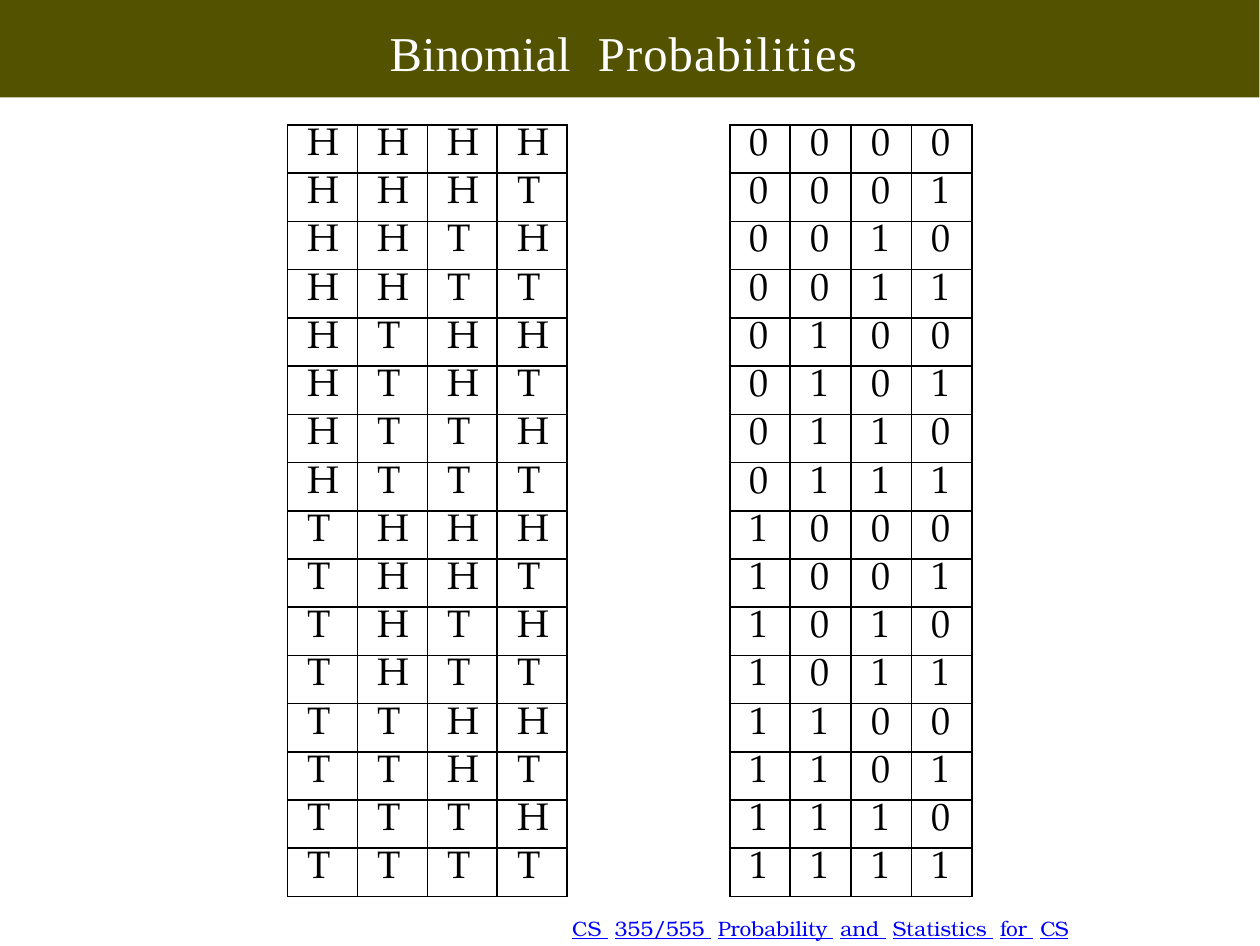
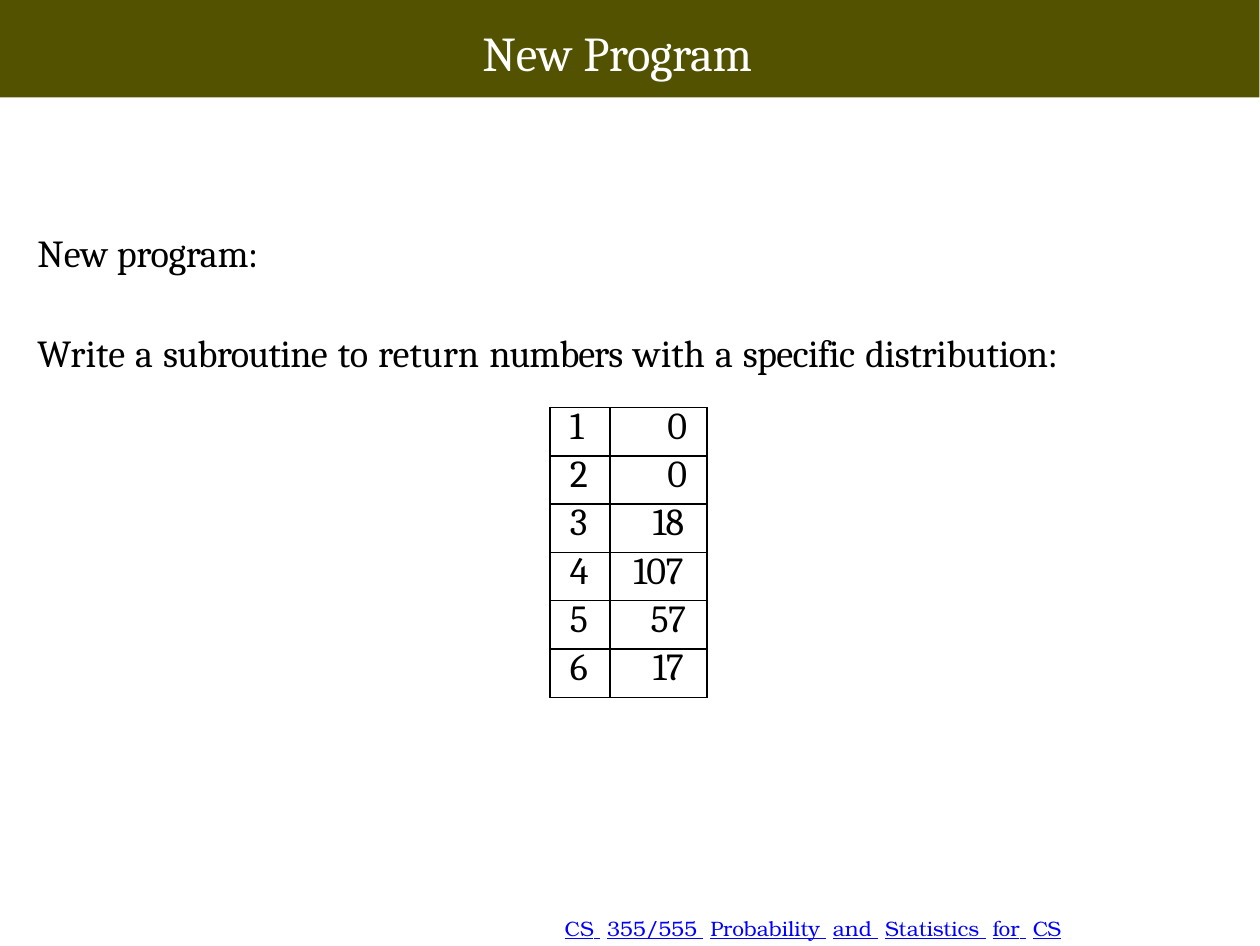
from itertools import product

from lxml import etree
from pptx import Presentation
from pptx.dml.color import RGBColor
from pptx.enum.shapes import MSO_SHAPE
from pptx.enum.text import MSO_AUTO_SIZE, PP_ALIGN
from pptx.oxml.ns import qn
from pptx.util import Inches, Pt

RECTANGLE = MSO_SHAPE.RECTANGLE
GROW = MSO_AUTO_SIZE.SHAPE_TO_FIT_TEXT
LEFT, CENTER = PP_ALIGN.LEFT, PP_ALIGN.CENTER
SLIDE_WIDTH, SLIDE_HEIGHT = 363 / 72, 272.5 / 72
BAND_BOX = (0, 0, 5.04, 0.39)
TEXT_INDENT = 0.01
CELL_INDENT = 0.08
COLORS = {"band": "525200", "title": "FFFFFF", "text": "000000", "link": "0000FF"}
FOOTER_WORDS = ["CS", "355/555", "Probability", "and", "Statistics", "for", "CS"]
FOOTER_GAP = 1.9
TASK_GAP = 0.4
TITLE_FORMAT = {"size": Pt(14)}
BODY_FORMAT = {"size": Pt(11), "name": "Cambria"}
OUTCOME_FORMAT = {"size": Pt(11), "name": "TeX Gyre Pagella"}
FOOTER_FORMAT = {"size": Pt(6), "name": "TeX Gyre Bonum", "underline": True}


def color(key):
    return RGBColor.from_string(COLORS[key])


def write_paragraph(paragraph, runs, font_format, color_key, indent=TEXT_INDENT, **layout):
    for name, value in layout.items():
        setattr(paragraph, name, value)
    paragraph._p.get_or_add_pPr().set("marL", str(Inches(indent)))
    for text, spacing in runs:
        run = paragraph.add_run()
        run.text = text
        for name, value in font_format.items():
            setattr(run.font, name, value)
        run.font.color.rgb = color(color_key)
        if spacing:
            run._r.get_or_add_rPr().set("spc", str(round(spacing * 100)))


def join_words(words, gap):
    runs = [words[0]]
    for word in words[1:]:
        runs += [(" ", gap), word]
    return runs


def add_text_frame(slide, box, top_inset=0.0):
    frame = slide.shapes.add_textbox(*map(Inches, box)).text_frame
    settings = {
        "margin_left": 0,
        "margin_right": 0,
        "margin_top": Inches(top_inset),
        "margin_bottom": 0,
        "word_wrap": True,
        "auto_size": GROW,
    }
    for name, value in settings.items():
        setattr(frame, name, value)
    return frame


def add_title_band(slide, box, runs, font_name):
    band = slide.shapes.add_shape(RECTANGLE, *map(Inches, BAND_BOX))
    band.shadow.inherit = False
    band.fill.solid()
    band.fill.fore_color.rgb = color("band")
    band.line.fill.background()
    frame = add_text_frame(slide, box, 0.02)
    title_format = {**TITLE_FORMAT, "name": font_name}
    write_paragraph(
        frame.paragraphs[0], runs, title_format, "title", space_before=Pt(1.4)
    )


def add_footer(slide, box):
    frame = add_text_frame(slide, box)
    words = [(word, 0) for word in FOOTER_WORDS[:-1]] + [(FOOTER_WORDS[-1], -0.2)]
    write_paragraph(
        frame.paragraphs[0],
        join_words(words, FOOTER_GAP),
        FOOTER_FORMAT,
        "link",
        line_spacing=Pt(6.7),
    )


def draw_borders(cell):
    properties = cell._tc.get_or_add_tcPr()
    for side in ("lnL", "lnR", "lnT", "lnB"):
        line = etree.SubElement(properties, qn("a:" + side), w=str(Pt(0.5)))
        fill = etree.SubElement(line, qn("a:solidFill"))
        etree.SubElement(fill, qn("a:srgbClr"), val=COLORS["text"])


def add_grid(slide, box, column_widths, rows, font_format):
    left, top, width, height = map(Inches, box)
    table = slide.shapes.add_table(
        len(rows), len(column_widths), left, top, width, height
    ).table
    table.first_row = False
    table.horz_banding = False
    for column, column_width in zip(table.columns, column_widths):
        column.width = Inches(column_width)
    for row_index, values in enumerate(rows):
        table.rows[row_index].height = height // len(rows)
        for column_index, (text, spacing, alignment, indent) in enumerate(values):
            cell = table.cell(row_index, column_index)
            draw_borders(cell)
            cell.fill.background()
            for side in ("left", "right", "top", "bottom"):
                setattr(cell, "margin_" + side, 0)
            write_paragraph(
                cell.text_frame.paragraphs[0],
                [(text, spacing)],
                font_format,
                "text",
                indent,
                alignment=alignment,
                line_spacing=Pt(11.9),
            )


def add_outcomes(slide, box, symbols, cell_layouts):
    rows = [
        [(symbol, 0, *layout) for symbol, layout in zip(outcome, cell_layouts)]
        for outcome in product(symbols, repeat=len(cell_layouts))
    ]
    column_widths = [box[2] / len(cell_layouts)] * len(cell_layouts)
    add_grid(slide, box, column_widths, rows, OUTCOME_FORMAT)


def add_distribution(slide, box, counts):
    first_width = 0.24
    rows = []
    for face, count in enumerate(counts, 1):
        text = str(count)
        indent = {1: 0.15, 2: 0.08, 3: 0}[len(text)]
        spacing = -0.2 if len(text) > 1 else 0
        rows.append([(str(face), 0, LEFT, CELL_INDENT), (text, spacing, CENTER, indent)])
    add_grid(slide, box, [first_width, box[2] - first_width], rows, BODY_FORMAT)


def add_task(slide, box):
    frame = add_text_frame(slide, box, 0.01)
    heading = [("New ", 0), ("program:", -0.1)]
    task = [
        ("Write", 0),
        ("a", 0),
        ("subroutine", -0.2),
        ("to", 0),
        ("return", 0),
        ("numbers", -0.3),
        ("with", 0),
        ("a", 0),
        ("specific", -0.2),
        ("distribution:", -0.1),
    ]
    write_paragraph(
        frame.paragraphs[0], heading, BODY_FORMAT, "text", space_before=Pt(0.9)
    )
    write_paragraph(
        frame.add_paragraph(),
        join_words(task, TASK_GAP),
        BODY_FORMAT,
        "text",
        space_before=Pt(15.6),
    )


def build_probabilities(slide):
    title = [("Binomial", 0), (" ", 4.2), ("Probabilities", 0.3)]
    add_title_band(slide, (1.55, 0.07, 1.94, 0.27), title, "Times New Roman")
    indented, centered = (LEFT, CELL_INDENT), (CENTER, 0)
    add_outcomes(slide, (1.15, 0.5, 1.12, 3.09), "HT", [indented] * 4)
    add_outcomes(slide, (2.92, 0.5, 0.97, 3.09), "01", [indented] + [centered] * 3)
    add_footer(slide, (2.28, 3.67, 2.04, 0.11))


def build_program(slide):
    title = [("New ", 0), ("Program", -0.1)]
    add_title_band(slide, (1.92, 0.07, 1.21, 0.27), title, "Cambria")
    add_task(slide, (0.14, 0.91, 4.4, 0.6))
    add_distribution(slide, (2.2, 1.63, 0.63, 1.16), [0, 0, 18, 107, 57, 17])
    add_footer(slide, (2.25, 3.67, 2.04, 0.11))


def main():
    presentation = Presentation()
    presentation.slide_width = Inches(SLIDE_WIDTH)
    presentation.slide_height = Inches(SLIDE_HEIGHT)
    for build in (build_probabilities, build_program):
        build(presentation.slides.add_slide(presentation.slide_layouts[6]))
    presentation.save("out.pptx")


if __name__ == "__main__":
    main()
